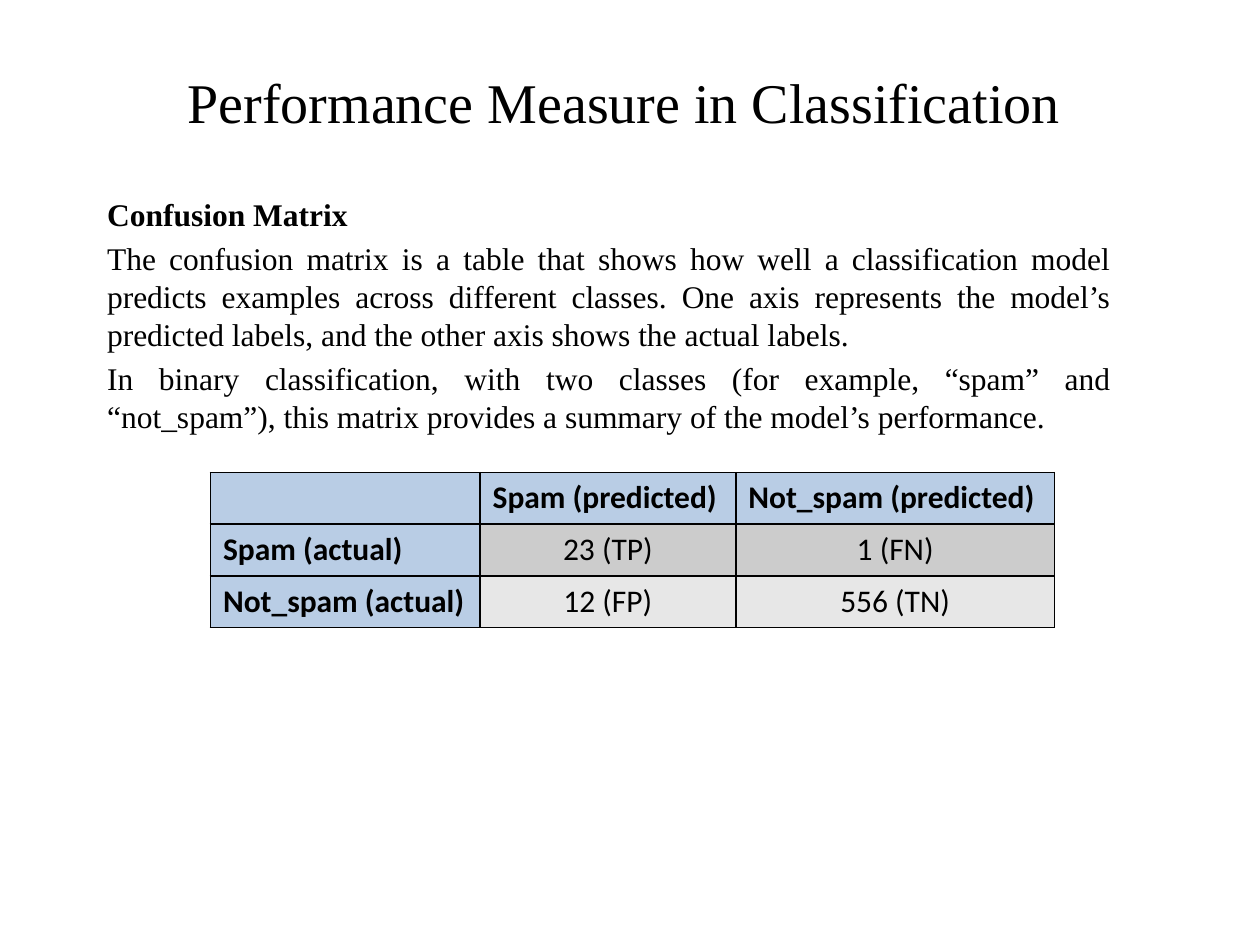
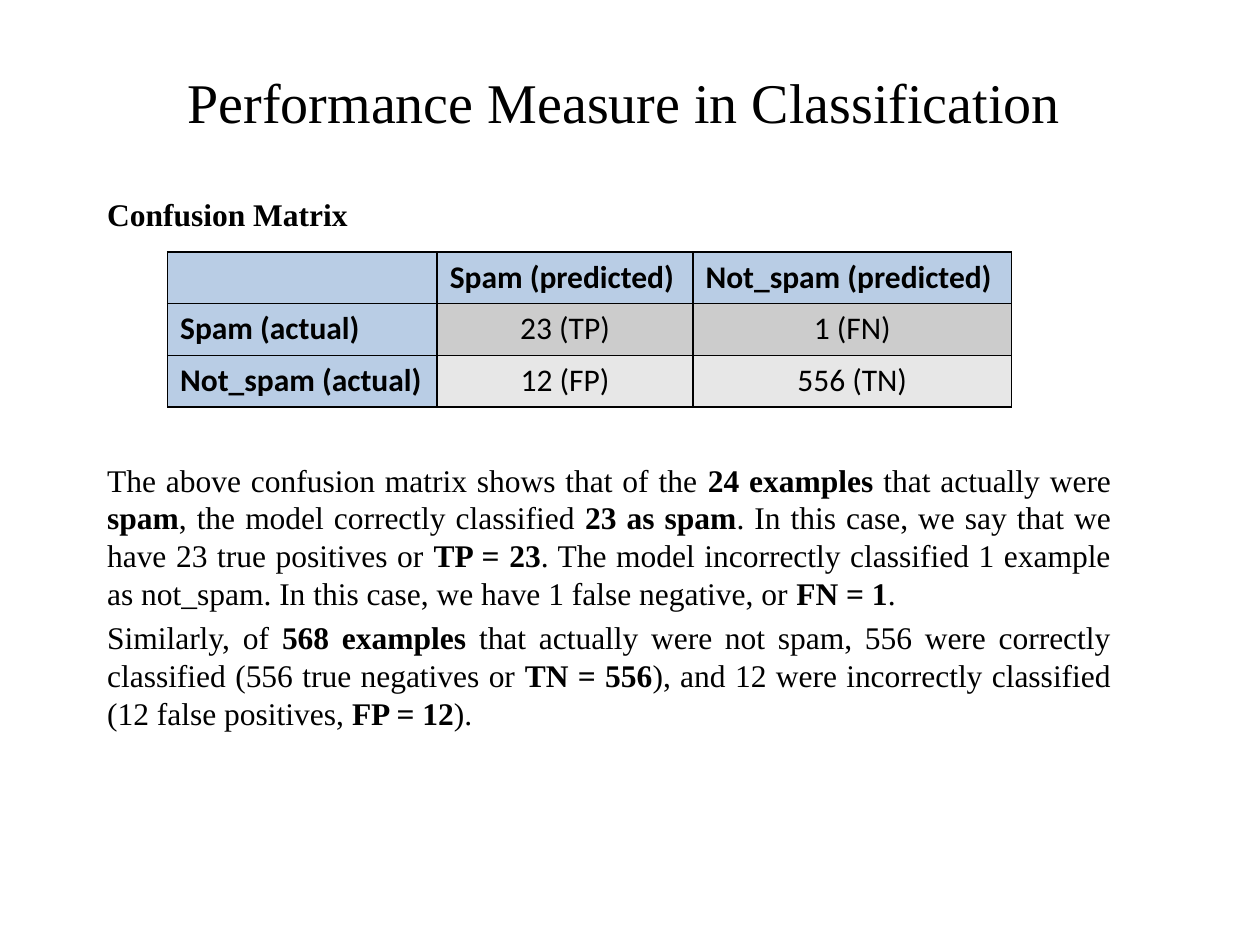
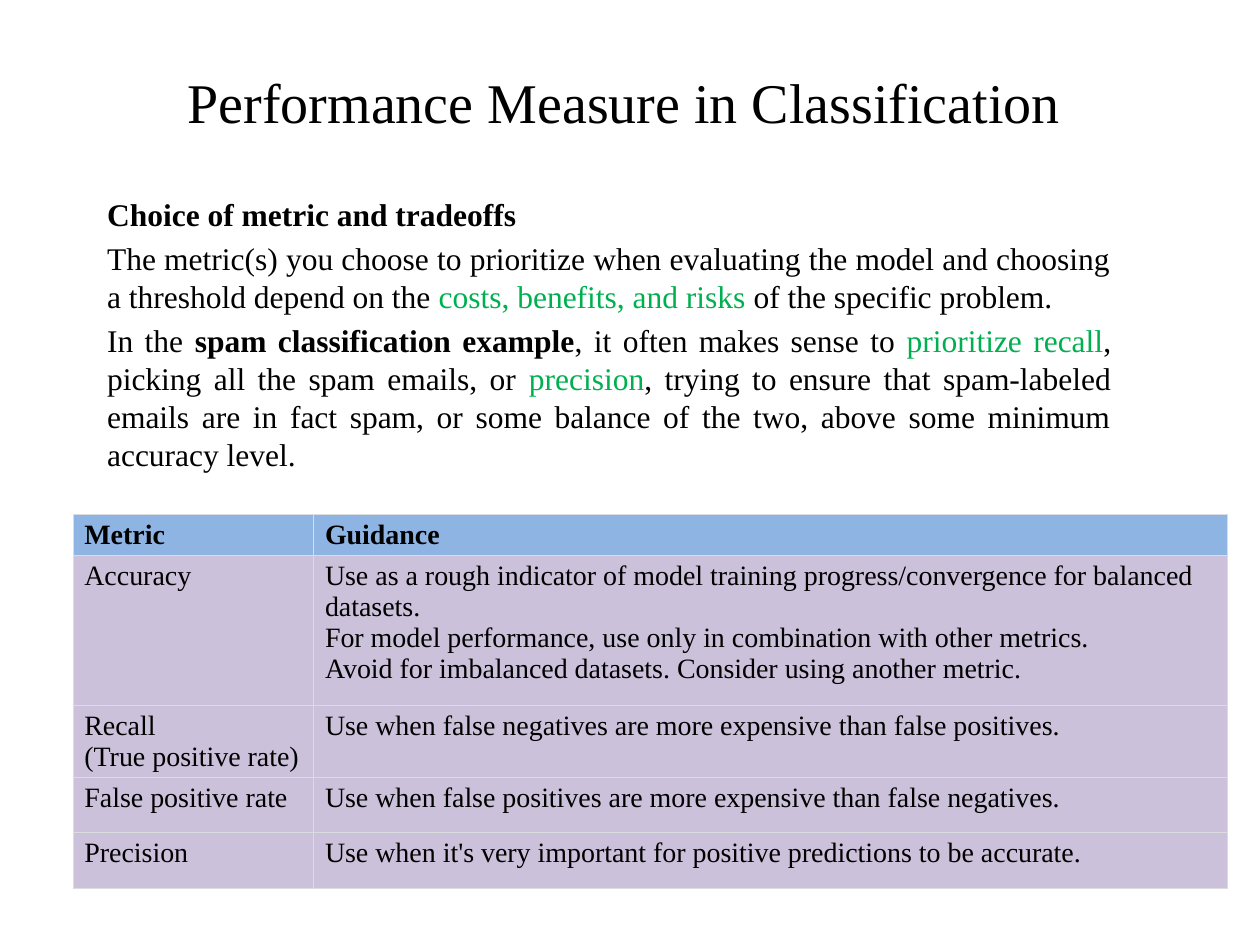
from lxml import etree
from pptx import Presentation
from pptx.dml.color import RGBColor
from pptx.enum import text as t
from pptx.oxml import ns
from pptx.util import Inches, Pt

# Shared look
SERIF, SANS = "Times New Roman", "Calibri"
BLACK, GREEN = "000000", "00B050"
LIGHT_BLUE, BLUE, LILAC = "B9CDE5", "8EB4E3", "CCC1DA"
DARK_GREY, PALE_GREY, RULE_GREY = "CCCCCC", "E7E7E7", "DADCE0"
TITLE_BOX = (1.08, 0.42, 7.75, 0.77)
BODY_BOX = (0.75, 1.5, 8.17, 4.75)
BOLD, HIGHLIGHT = "bold", "highlight"

# Content: a paragraph is a list of plain strings and (string, emphasis) pairs
TITLE = "Performance Measure in Classification"
MATRIX_HEADING = [("Confusion Matrix", BOLD)]

MATRIX_INTRO = [
    MATRIX_HEADING,
    ["The confusion matrix is a table that shows how well a classification model "
     "predicts examples across different classes. One axis represents the model’s "
     "predicted labels, and the other axis shows the actual labels."],
    ["In binary classification, with two classes (for example, “spam” and "
     "“not_spam”), this matrix provides a summary of the model’s performance."],
]
MATRIX_READING = [
    MATRIX_HEADING,
    ["The above confusion matrix shows that of the ", ("24 examples ", BOLD),
     "that actually were ", ("spam", BOLD), ", the model correctly classified ",
     ("23 as spam", BOLD), ". In this case, we say that we have 23 true positives or ",
     ("TP = 23", BOLD), ". The model incorrectly classified 1 example as not_spam. "
     "In this case, we have 1 false negative, or ", ("FN = 1", BOLD), "."],
    ["Similarly, of ", ("568 examples ", BOLD),
     "that actually were not spam, 556 were correctly classified "
     "(556 true negatives or ", ("TN = 556", BOLD),
     "), and 12 were incorrectly classified (12 false positives, ",
     ("FP = 12", BOLD), ")."],
]
TRADEOFFS = [
    [("Choice of metric and tradeoffs", BOLD)],
    ["The metric(s) you choose to prioritize when evaluating the model and choosing "
     "a threshold depend on the ", ("costs, benefits, and risks ", HIGHLIGHT),
     "of the specific problem."],
    ["In the ", ("spam classification example", BOLD), ", it often makes sense to ",
     ("prioritize recall", HIGHLIGHT), ", picking all the spam emails, or ",
     ("precision", HIGHLIGHT), ", trying to ensure that spam-labeled emails are in "
     "fact spam, or some balance of the two, above some minimum accuracy level."],
]
CONFUSION_MATRIX = [
    ["", "Spam (predicted)", "Not_spam (predicted)"],
    ["Spam (actual)", "23 (TP)", "1 (FN)"],
    ["Not_spam (actual)", "12 (FP)", "556 (TN)"],
]
METRIC_GUIDANCE = [
    ["Metric", "Guidance"],
    ["Accuracy",
     "Use as a rough indicator of model training progress/convergence for balanced datasets.\n"
     "For model performance, use only in combination with other metrics.\n"
     "Avoid for imbalanced datasets. Consider using another metric."],
    ["Recall\v(True positive rate)",
     "Use when false negatives are more expensive than false positives."],
    ["False positive rate",
     "Use when false positives are more expensive than false negatives."],
    ["Precision",
     "Use when it's very important for positive predictions to be accurate."],
]


def rgb(color):
    return RGBColor.from_string(color)


def set_font(font, name, size, bold=None):
    font.name, font.size, font.bold = name, Pt(size), bold
    font.color.rgb = rgb(BLACK)


def place(shape, box):
    shape.left, shape.top, shape.width, shape.height = map(Inches, box)


def add_slide(deck, paragraphs):
    """Add a slide with the shared title and the given body paragraphs."""
    slide = deck.slides.add_slide(deck.slide_layouts[0])
    title, body = slide.placeholders
    place(title, TITLE_BOX)
    title.text_frame.text = TITLE
    set_font(title.text_frame.paragraphs[0].font, SERIF, 32)

    place(body, BODY_BOX)
    frame = body.text_frame
    for i, pieces in enumerate(paragraphs):
        paragraph = frame.add_paragraph() if i else frame.paragraphs[0]
        paragraph.alignment = t.PP_ALIGN.JUSTIFY
        set_font(paragraph.font, SERIF, 18)
        for piece in pieces:
            words, emphasis = (piece, None) if isinstance(piece, str) else piece
            run = paragraph.add_run()
            run.text = words
            if emphasis == BOLD:
                run.font.bold = True
            elif emphasis == HIGHLIGHT:
                run.font.color.rgb = rgb(GREEN)
    return slide


def set_borders(cell, color, width):
    props = cell._tc.get_or_add_tcPr()
    for position, side in enumerate(("lnL", "lnR", "lnT", "lnB")):
        line = etree.Element(ns.qn(f"a:{side}"), w=str(Pt(width)))
        fill = etree.SubElement(line, ns.qn("a:solidFill"))
        etree.SubElement(fill, ns.qn("a:srgbClr"), val=color)
        props.insert(position, line)


def add_grid(slide, rows, left, top, widths, heights, border, style_cell):
    """Add a table; style_cell(cell, row, column) sets fill and text style."""
    grid = slide.shapes.add_table(
        len(rows), len(widths), Inches(left), Inches(top),
        Inches(sum(widths)), Inches(sum(heights))).table
    grid.first_row = grid.horz_banding = False
    for column, width in zip(grid.columns, widths):
        column.width = Inches(width)
    for row, height in zip(grid.rows, heights):
        row.height = Inches(height)
    for r, values in enumerate(rows):
        for c, value in enumerate(values):
            cell = grid.cell(r, c)
            cell.text = value
            cell.fill.solid()
            style_cell(cell, r, c)
            set_borders(cell, *border)


def style_matrix_cell(cell, r, c):
    is_label = r == 0 or c == 0
    color = LIGHT_BLUE if is_label else (DARK_GREY, PALE_GREY)[r - 1]
    cell.fill.fore_color.rgb = rgb(color)
    paragraph = cell.text_frame.paragraphs[0]
    set_font(paragraph.font, SANS, 18, is_label)
    if not is_label:
        paragraph.alignment = t.PP_ALIGN.CENTER


def style_guidance_cell(cell, r, c):
    is_header = r == 0
    cell.fill.fore_color.rgb = rgb(BLUE if is_header else LILAC)
    cell.margin_left = cell.margin_right = Inches(0.09)
    cell.margin_top = cell.margin_bottom = Inches(0.04)
    if is_header:
        cell.vertical_anchor = t.MSO_ANCHOR.MIDDLE
    for paragraph in cell.text_frame.paragraphs:
        set_font(paragraph.font, SERIF, 16, is_header)


def add_confusion_matrix(slide, left, top):
    add_grid(slide, CONFUSION_MATRIX, left, top, [2.14, 2.03, 2.53], [0.41] * 3,
             (BLACK, 1), style_matrix_cell)


def main():
    deck = Presentation()
    deck.slide_width, deck.slide_height = Inches(10), Inches(7.5)

    # What the matrix is
    add_confusion_matrix(add_slide(deck, MATRIX_INTRO), 1.67, 3.75)

    # How to read it: the explanation starts below the matrix
    reading = add_slide(deck, MATRIX_READING)
    reading.placeholders[1].text_frame.paragraphs[1].space_before = Pt(130)
    add_confusion_matrix(reading, 1.33, 2)

    # Which metric to choose
    add_grid(add_slide(deck, TRADEOFFS), METRIC_GUIDANCE, 0.58, 4.08, [1.91, 7.25],
             [0.31, 1.19] + [0.44] * 3, (RULE_GREY, 0.75), style_guidance_cell)

    deck.save("out.pptx")


if __name__ == "__main__":
    main()
